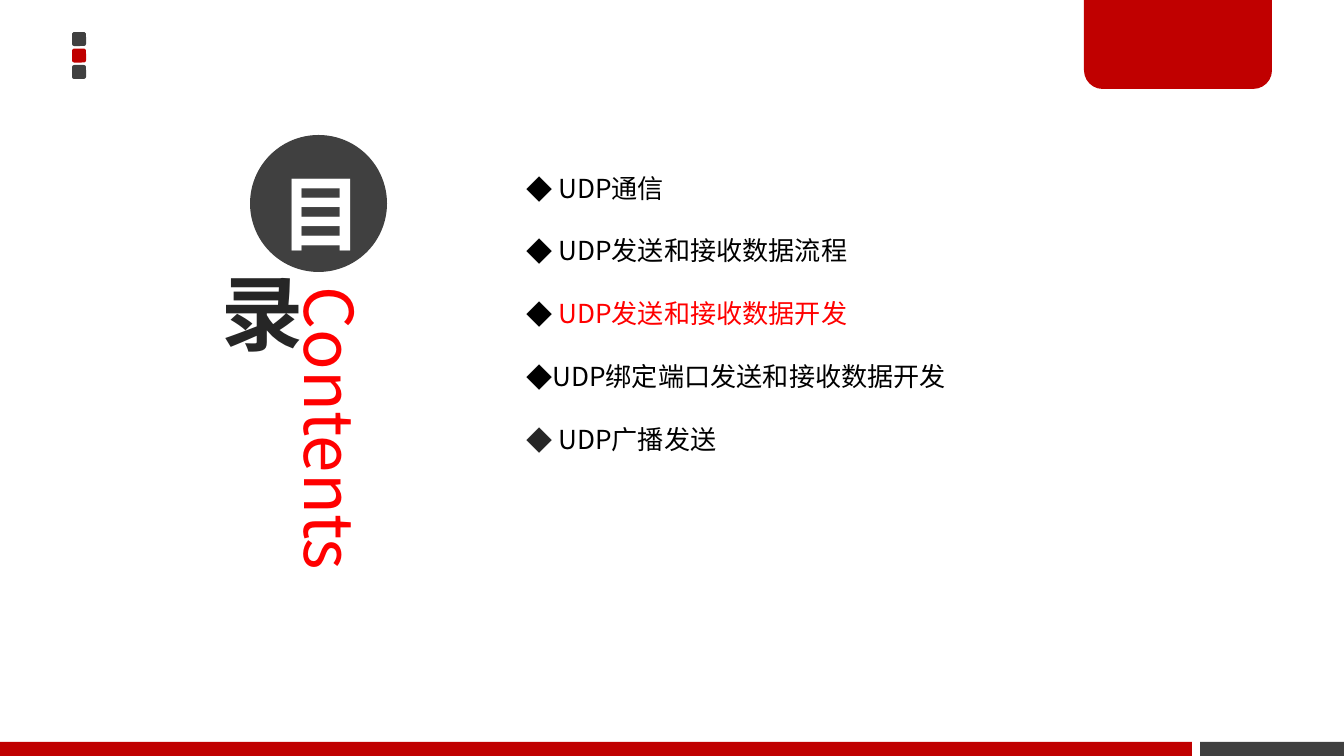
from pptx import Presentation
from pptx.dml.color import RGBColor
from pptx.enum.shapes import MSO_SHAPE as Shape
from pptx.enum.text import MSO_ANCHOR as Anchor, PP_ALIGN as Align
from pptx.oxml import parse_xml
from pptx.oxml.ns import nsdecls
from pptx.util import Pt

SCALE = 914400 / 134.4
FONT = "Noto Sans CJK SC"
RED, GREY, BLACK, BRIGHT = "C00000", "404040", "000000", "FF0000"

deck = Presentation()
deck.slide_width, deck.slide_height = round(1344 * SCALE), round(756 * SCALE)
page = deck.slides.add_slide(deck.slide_layouts[6])


def add_block(kind, box, color=None):
    block = page.shapes.add_shape(kind, *[round(v * SCALE) for v in box])
    block.shadow.inherit = False
    block.line.fill.background()
    if color:
        block.fill.solid()
        block.fill.fore_color.rgb = RGBColor.from_string(color)
    else:
        block.fill.background()
    return block


def write(para, text, size, color, bold=False):
    para.text = text
    font = para.font
    font.name, font.size, font.bold = FONT, Pt(size), bold
    font.color.rgb = RGBColor.from_string(color)
    latin = para._p.xpath("./a:pPr/a:defRPr/a:latin")[0]
    latin.addnext(parse_xml(f'<a:ea {nsdecls("a")} typeface="{FONT}"/>'))


for row, color in enumerate([GREY, RED, GREY]):
    add_block(Shape.ROUNDED_RECTANGLE, (72, 32 + 16.5 * row, 14, 14), color)

add_block(Shape.RECTANGLE, (1200, 742, 144, 14), GREY)
add_block(Shape.RECTANGLE, (0, 742, 1192, 14), RED)
tab = add_block(Shape.ROUND_2_SAME_RECTANGLE, (1084, 0, 188, 89), RED)
tab.adjustments[0], tab.adjustments[1] = 0, 0.21

contents = page.shapes.add_textbox(*[round(v * SCALE) for v in (288, 282, 94, 388)])
frame = contents.text_frame
frame.word_wrap = True
frame.margin_left = frame.margin_right = round(10 * SCALE)
frame.margin_top = frame.margin_bottom = round(5 * SCALE)
frame._txBody.bodyPr.set("vert", "eaVert")
write(frame.paragraphs[0], "Contents", 36, BRIGHT)

titles = [
    ("目", (250, 135, 137, 137), GREY, "FFFFFF", 20, Pt(70)),
    ("录", (196, 258, 108, 108), None, "262626", 5, None),
]
for text, box, fill, color, bottom, spacing in titles:
    frame = add_block(Shape.OVAL, box, fill).text_frame
    frame.word_wrap = True
    frame.vertical_anchor = Anchor.MIDDLE
    frame.margin_left = frame.margin_right = round(10 * SCALE)
    frame.margin_top, frame.margin_bottom = round(5 * SCALE), round(bottom * SCALE)
    para = frame.paragraphs[0]
    para.alignment = Align.CENTER
    para.line_spacing = spacing
    write(para, text, 44, color, True)

topics = [
    (" UDP通信", BLACK, BLACK),
    (" UDP发送和接收数据流程", BLACK, BLACK),
    (" UDP发送和接收数据开发", BRIGHT, BLACK),
    ("UDP绑定端口发送和接收数据开发", BLACK, BLACK),
    (" UDP广播发送", BLACK, "262626"),
]
agenda = page.shapes.add_textbox(*[round(v * SCALE) for v in (513, 134, 634, 394)])
frame = agenda.text_frame
frame.word_wrap = True
indent = round(25 * SCALE)
for row, (text, color, bullet) in enumerate(topics):
    para = frame.add_paragraph() if row else frame.paragraphs[0]
    para.line_spacing = 2.0
    write(para, text, 14, color)
    props = para._p.pPr
    props.set("marL", str(indent))
    props.set("indent", str(-indent))
    for xml in (
        f'<a:buClr {nsdecls("a")}><a:srgbClr val="{bullet}"/></a:buClr>',
        f'<a:buFont {nsdecls("a")} typeface="{FONT}"/>',
        f'<a:buChar {nsdecls("a")} char="◆"/>',
    ):
        props.xpath("./a:defRPr")[0].addprevious(parse_xml(xml))

deck.save("out.pptx")
